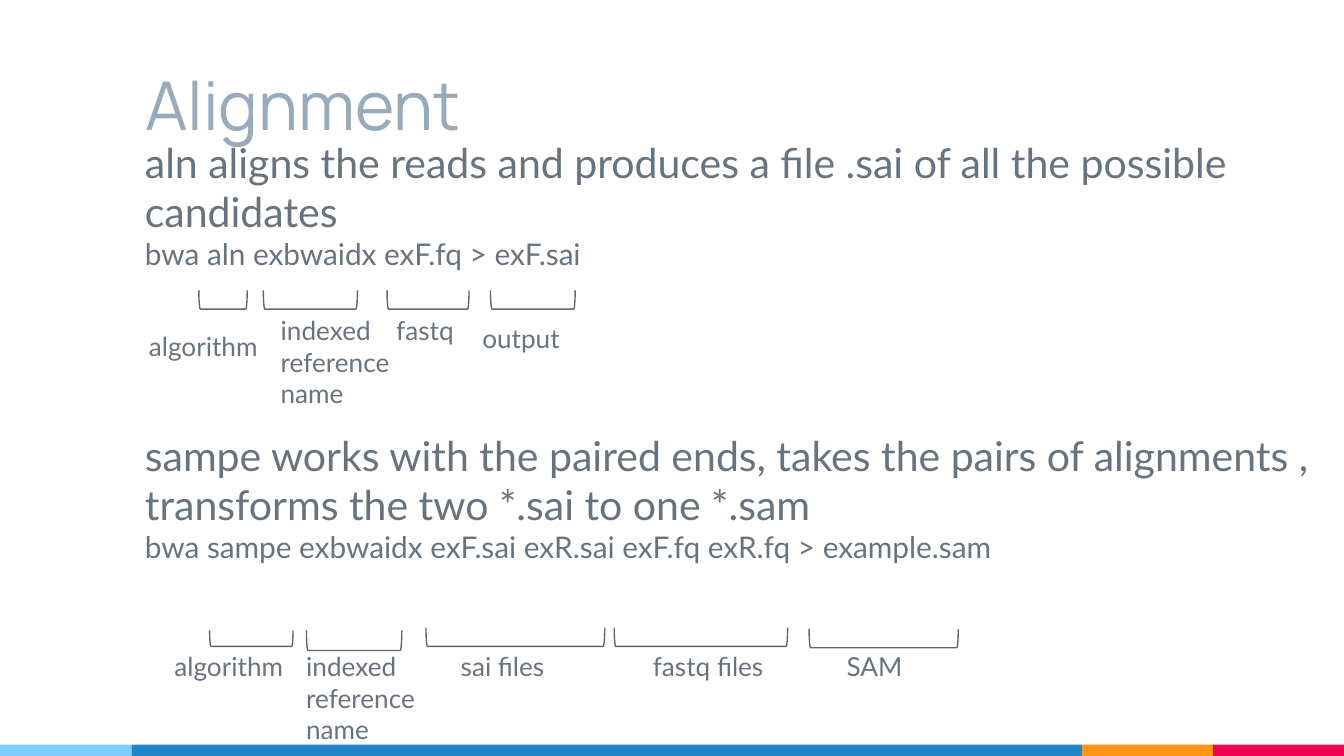
from lxml import etree
from pptx import Presentation
from pptx.dml.color import RGBColor
from pptx.enum.shapes import MSO_SHAPE
from pptx.enum.text import MSO_ANCHOR, MSO_AUTO_SIZE, PP_ALIGN
from pptx.util import Inches, Pt

RECT, BRACKET = MSO_SHAPE.RECTANGLE, MSO_SHAPE.LEFT_BRACKET
LEFT, TOP, BOTTOM = PP_ALIGN.LEFT, MSO_ANCHOR.TOP, MSO_ANCHOR.BOTTOM
NO_FIT = MSO_AUTO_SIZE.NONE
COLORS = {
    "title": "97ABBC", "text": "677480", "line": "666666",
    "sky": "7ECEFD", "blue": "2185C5", "orange": "FF9715", "pink": "F20253",
}

prs = Presentation()
prs.slide_width, prs.slide_height = Inches(10), Inches(5.625)
COL, ROW = prs.slide_width / 100, prs.slide_height / 56.25


def grid(x, y, w, h):
    """Turn columns and rows into left, top, width and height."""
    return int(x * COL), int(y * ROW), int(w * COL), int(h * ROW)


def write(s, lines, font, color, anchor=TOP):
    """Fill a shape with paragraphs given as (text, size, space before)."""
    tf = s.text_frame
    tf.word_wrap, tf.auto_size, tf.vertical_anchor = True, NO_FIT, anchor
    tf.margin_left = tf.margin_right = int(COL)
    tf.margin_top = tf.margin_bottom = int(ROW)
    for i, (text, size, before) in enumerate(lines):
        p = tf.paragraphs[0] if i == 0 else tf.add_paragraph()
        p.text, p.alignment, p.space_before = text, LEFT, Pt(before)
        f = p.runs[0].font
        f.name, f.size = font, Pt(size)
        f.color.rgb = RGBColor.from_string(COLORS[color])


slide = prs.slides.add_slide(prs.slide_layouts[5])
shapes = slide.shapes

# Footer stripe
x = 0
for color, w in [("sky", 9.8), ("blue", 70.7), ("orange", 9.75), ("pink", 9.75)]:
    s = shapes.add_shape(RECT, *grid(x, 55.4, w, 0.85))
    s.shadow.inherit = False
    s.fill.solid()
    s.fill.fore_color.rgb = RGBColor.from_string(COLORS[color])
    s.line.fill.background()
    x += w

# Title and commands
title = shapes.title
title.left, title.top, title.width, title.height = grid(9.8, 2.3, 70.7, 9.4)
write(title, [("Alignment", 36, 0)], "Manrope", "title", BOTTOM)

body = shapes.add_textbox(*grid(9.8, 9.2, 88.8, 27))
write(body, [
    ("aln aligns the reads and produces a file .sai of all the possible candidates", 22, 0),
    ("bwa aln exbwaidx exF.fq > exF.sai", 16, 0),
    ("sampe works with the paired ends, takes the pairs of alignments , "
     "transforms the two *.sai to one *.sam", 22, 85),
    ("bwa sampe exbwaidx exF.sai exR.sai exF.fq exR.fq > example.sam", 16, 0),
], "Lato", "text")

# Each argument: bracket left, top, width, depth; label, its left, top, width, height
arguments = [
    (14.8, 21.6, 3.6, 1.4, "algorithm", 10.1, 23.6, 10.6, 4.6),
    (19.6, 21.6, 7.0, 1.4, "indexed reference name", 19.9, 22.4, 10.6, 5.8),
    (28.8, 21.6, 6.1, 1.4, "fastq", 28.5, 22.4, 7.0, 5.8),
    (36.5, 21.6, 6.3, 1.4, "output", 34.9, 23.0, 8.0, 5.8),
    (15.6, 46.9, 6.2, 1.2, "algorithm", 12.0, 47.4, 10.6, 3.9),
    (22.8, 46.9, 7.1, 1.5, "indexed reference name", 21.8, 47.4, 10.6, 5.8),
    (31.7, 46.7, 13.3, 1.4, "sai files", 33.3, 47.4, 10.6, 5.8),
    (45.7, 46.7, 12.9, 1.4, "fastq files", 47.6, 47.4, 10.6, 5.8),
    (60.2, 46.8, 11.1, 1.4, "SAM", 62.0, 47.4, 6.2, 3.9),
]
for x, y, w, depth, label, *box in arguments:
    # A bracket turned upright keeps its centre, so its sides swap around it
    shift = (w - depth) / 2
    s = shapes.add_shape(BRACKET, *grid(x + shift, y - shift, depth, w))
    s.rotation = 270
    s.adjustments[0] = 0.08
    s.shadow.inherit = False
    s.fill.background()
    s.line.color.rgb = RGBColor.from_string(COLORS["line"])
    s.line.width = Pt(0.75)
    write(shapes.add_textbox(*grid(*box)), [(label, 14, 0)], "Lato", "text")

prs.save("out.pptx")
